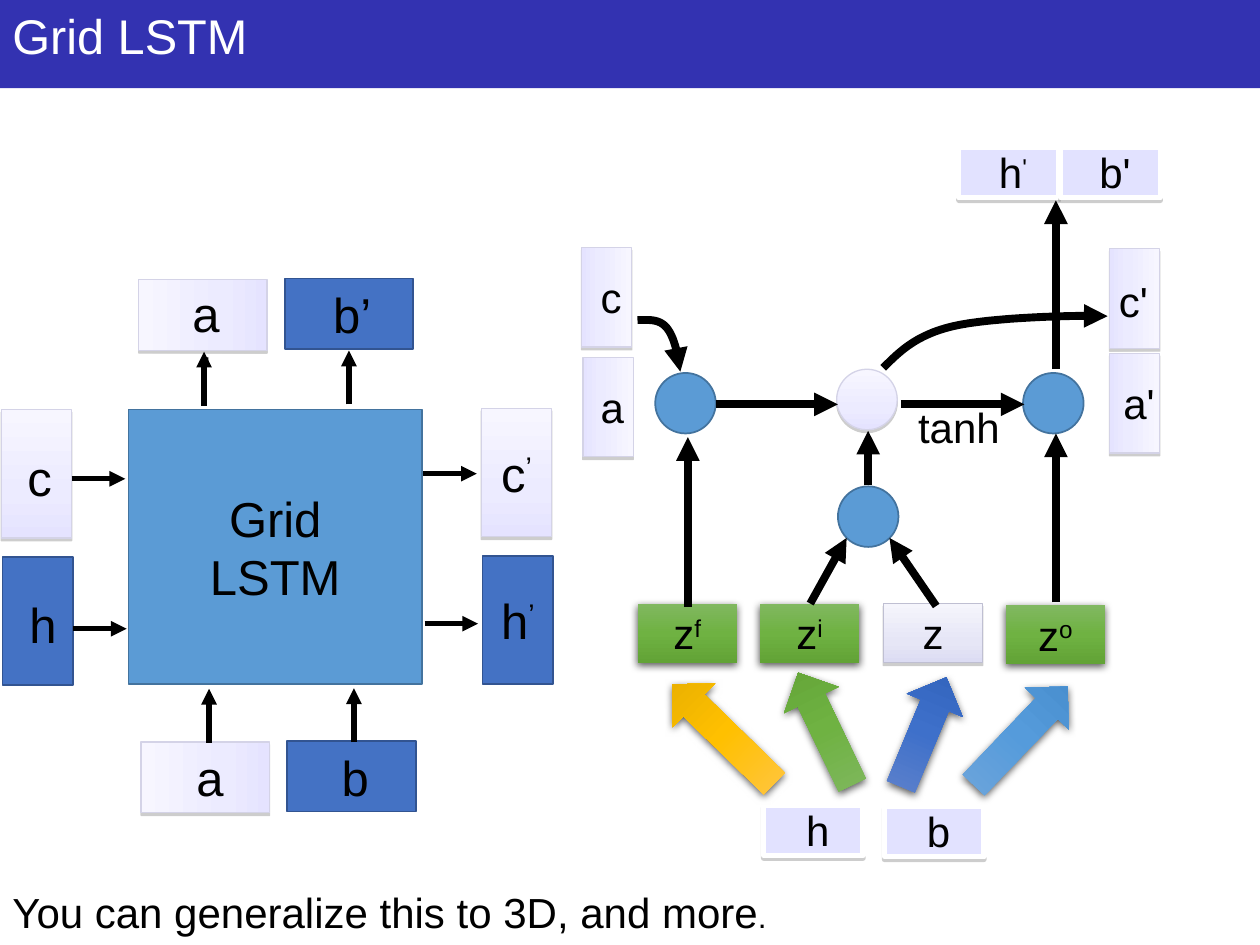
from lxml.etree import SubElement
from pptx import Presentation
from pptx.dml.color import RGBColor
from pptx.enum.shapes import MSO_CONNECTOR, MSO_SHAPE
from pptx.enum.text import MSO_ANCHOR, MSO_AUTO_SIZE, PP_ALIGN
from pptx.oxml.ns import qn
from pptx.util import Pt

BLACK = RGBColor(0x00, 0x00, 0x00)
WHITE = RGBColor(0xFF, 0xFF, 0xFF)
GRAY = RGBColor(0x80, 0x80, 0x80)
NAVY = RGBColor(0x33, 0x32, 0xB1)
SKY = RGBColor(0x5B, 0x9B, 0xD5)
SKY_EDGE = RGBColor(0x43, 0x73, 0x9E)
BLUE = RGBColor(0x44, 0x72, 0xC4)
BLUE_EDGE = RGBColor(0x32, 0x54, 0x91)
PALE = RGBColor(0xE2, 0xE2, 0xFF)
PALE_EDGE = RGBColor(0xD4, 0xD3, 0xE7)
MIST_EDGE = RGBColor(0xBF, 0xBF, 0xD2)


def blend(mid, top, base, low):
    tones = (top, base, low)
    return [(spot, RGBColor.from_string(tone)) for spot, tone in zip((0, mid, 100), tones)]


LILAC = blend(65, "F7F6FF", "ECEBFF", "E5E3FF")
MIST = blend(65, "F5F5FC", "E6E6F6", "DCDCF3")
GREEN = blend(50, "81B861", "6FB242", "62A336")
AZURE = blend(50, "71A6DB", "559BDB", "448ACA")
ROYAL = blend(50, "6183CB", "3E70CA", "3062BB")
GOLD = blend(50, "FFC64B", "FFC000", "E3AB00")

THIN = (GRAY, 38, 0, 1.6)
SOFT = (BLACK, 63, 4.5, 1.5)
SOLID = (BLUE, (BLUE_EDGE, 1), None)
GLASS = (LILAC, (PALE_EDGE, 0.75), THIN)
CHIP = (PALE, (WHITE, 3), THIN)
NODE = (SKY, (SKY_EDGE, 1), None)
GATE = (GREEN, None, SOFT)
CELL = (MIST, (MIST_EDGE, 0.75), THIN)


class Deck:
    font = "Arial"

    def __init__(self):
        self.file = Presentation()
        self.file.slide_width, self.file.slide_height = Pt(720), Pt(540)
        self.slide = self.file.slides.add_slide(self.file.slide_layouts[6])

    def run(self, para, text, size, color=BLACK):
        run = para.add_run()
        run.text = text
        run.font.name, run.font.size = self.font, Pt(size)
        run.font.color.rgb = color
        return run

    def label(self, frame, lines, size, color, align):
        for i, runs in enumerate(lines):
            para = frame.paragraphs[0] if i == 0 else frame.add_paragraph()
            para.alignment = align
            for part, text in enumerate(runs):
                run = self.run(para, text, size, color)
                if part:
                    run.font._element.set("baseline", "30000")

    def paint(self, shape, look):
        fill, edge, shade = look
        if isinstance(fill, list):
            shape.fill.gradient()
            shape.fill.gradient_angle = 270
            stops = shape._element.spPr.find(".//" + qn("a:gsLst"))
            for old in list(stops):
                stops.remove(old)
            for spot, color in fill:
                stop = SubElement(stops, qn("a:gs"), pos=str(spot * 1000))
                SubElement(stop, qn("a:srgbClr"), val=str(color))
        else:
            shape.fill.solid()
            shape.fill.fore_color.rgb = fill
        if edge:
            shape.line.color.rgb, shape.line.width = edge[0], Pt(edge[1])
        else:
            shape.line.fill.background()
        shape.shadow.inherit = False
        if shade:
            color, alpha, blur, dist = shade
            group = shape._element.spPr.find(qn("a:effectLst"))
            cast = SubElement(group, qn("a:outerShdw"), blurRad=str(int(Pt(blur))),
                              dist=str(int(Pt(dist))), dir="5400000", rotWithShape="0")
            tone = SubElement(cast, qn("a:srgbClr"), val=str(color))
            SubElement(tone, qn("a:alpha"), val=str(alpha * 1000))

    def shape(self, x, y, w, h, look, lines=(), size=24, turn=0, kind=MSO_SHAPE.RECTANGLE):
        item = self.slide.shapes.add_shape(kind, Pt(x), Pt(y), Pt(w), Pt(h))
        item.rotation = turn
        self.paint(item, look)
        item.text_frame.vertical_anchor = MSO_ANCHOR.MIDDLE
        self.label(item.text_frame, lines, size, BLACK, PP_ALIGN.CENTER)
        return item

    def text(self, x, y, w, h, runs, size=24, color=BLACK, align=PP_ALIGN.CENTER, wrap=True):
        box = self.slide.shapes.add_textbox(Pt(x), Pt(y), Pt(w), Pt(h))
        box.text_frame.word_wrap = wrap
        box.text_frame.auto_size = MSO_AUTO_SIZE.SHAPE_TO_FIT_TEXT
        self.label(box.text_frame, [runs], size, color, align)
        return box

    def chip(self, x, y, runs, look, turn=0, dx=-4.7, dy=-3.8):
        self.shape(x, y, 56.9, 28.8, look, turn=turn)
        self.text(x + dx, y + dy, 71.3, 36.7, runs)

    def node(self, x, y, look=NODE):
        self.shape(x, y, 34.6, 34.6, look, kind=MSO_SHAPE.OVAL)

    def fat(self, x, y, h, turn, fill):
        item = self.shape(x, y, 34.6, h, (fill, None, SOFT), turn=turn, kind=MSO_SHAPE.DOWN_ARROW)
        item._element.spPr.get_or_add_xfrm().set("flipV", "1")

    def tip(self, item, width):
        item.line.color.rgb, item.line.width = BLACK, Pt(width)
        SubElement(item._element.spPr.find(qn("a:ln")), qn("a:tailEnd"), type="triangle")

    def arrow(self, x1, y1, x2, y2, width):
        item = self.slide.shapes.add_connector(
            MSO_CONNECTOR.STRAIGHT, Pt(x1), Pt(y1), Pt(x2), Pt(y2))
        self.tip(item, width)
        SubElement(item._element.spPr, qn("a:effectLst"))

    def curve(self, start, *bends, steps=16):
        points, here = [], start
        for one, two, end in bends:
            for i in range(1, steps + 1):
                t = i / steps
                s = 1 - t
                points.append(tuple(
                    Pt(s**3 * a + 3 * s * s * t * b + 3 * s * t * t * c + t**3 * d)
                    for a, b, c, d in zip(here, one, two, end)))
            here = end
        pen = self.slide.shapes.build_freeform(Pt(start[0]), Pt(start[1]))
        pen.add_line_segments(points, close=False)
        item = pen.convert_to_shape()
        item.fill.background()
        item.shadow.inherit = False
        self.tip(item, 4.5)


def block(deck):
    deck.shape(73.4, 234, 167.8, 157, NODE, [["Grid"], ["LSTM"]], 28)
    for x, y, look, lines, turn in (
        (0.7, 234, GLASS, [], 0),
        (1.4, 318.2, SOLID, [], 0),
        (275, 233.3, GLASS, [["c", "’"]], 0),
        (275.8, 317.5, SOLID, [["h", "’"]], 0),
        (97.2, 407.5, GLASS, [], 270),
        (180.7, 406.8, SOLID, [], 270),
        (95.8, 143.3, GLASS, [], 270),
        (179.3, 142.6, SOLID, [], 270),
    ):
        deck.shape(x, y, 40.3, 73.4, look, lines, 28, turn)
    for x, y, w, word in (
        (9.4, 336.2, 30.2, "h"), (8.6, 252, 26.6, "c"),
        (187.9, 423.4, 30.2, "b"), (105.1, 423.4, 28.1, "a"),
        (182.9, 159.1, 36.7, "b’"), (100.1, 158.4, 35.3, "a’"),
    ):
        deck.text(x, y, w, 41, [word], 28, wrap=False)
    for x, y in ((41, 273.6), (41.8, 359.3), (241.9, 270.7), (242.6, 356.4)):
        deck.arrow(x, y, x + 30.6, y, 3)
    for x, y in ((119.5, 424.4), (202.3, 424.1), (116.6, 231.8), (199.4, 231.1)):
        deck.arrow(x, y, x, y - 30.8, 3)


def flow(deck):
    for x, y, runs in ((547.9, 84.2, ["h", "'"]), (606.2, 84.2, ["b'"]),
                       (436.3, 460.1, ["h"]), (505.4, 460.8, ["b"])):
        deck.chip(x, y, runs, CHIP)
    for x, y, look, runs in ((504.7, 344.9, CELL, ["z"]), (434.2, 344.9, GATE, ["z", "i"]),
                             (364.3, 344.9, GATE, ["z", "f"]), (574.6, 345.6, GATE, ["z", "o"])):
        deck.shape(x, y, 56.9, 33.8, look, [runs])
    for x, y in ((478.8, 277.9), (374.4, 213.1), (584.6, 213.1)):
        deck.node(x, y)
    deck.node(478.1, 211, GLASS)
    for x, y, h, turn, fill in ((565.9, 381.6, 77.8, 43.7, AZURE), (454.3, 380.9, 71.3, 334.3, GREEN),
                                (510.5, 384.5, 67.7, 22.6, ROYAL), (396, 378.7, 81.4, 314.2, GOLD)):
        deck.fat(x, y, h, turn, fill)
    deck.chip(318.2, 155.5, ["c"], GLASS, 90)
    deck.chip(319, 218.2, ["a"], GLASS, 90)
    deck.chip(619.9, 156.2, ["c'"], GLASS, 90, -7.9, -2.1)
    deck.chip(619.9, 216, ["a'"], GLASS, 90)
    for ends in (
        (393.1, 347, 393.1, 249.8), (409, 231.1, 478.8, 231.1),
        (535, 346.3, 508.3, 307.4), (463, 344.9, 483.8, 307.4),
        (496.1, 277.2, 496.1, 246.2), (514.8, 231.1, 585.4, 231.1),
        (603.4, 344.2, 603.4, 247.7), (603.4, 211, 603.4, 114.5),
    ):
        deck.arrow(*ends, 4.5)
    deck.curve((504.7, 210.2), ((514.1, 200.9), (523.4, 191.5), (544.3, 186.5)),
               ((565.9, 181.4), (614.9, 180), (632.9, 180.7)))
    deck.curve((364.3, 182.9), ((370.8, 182.9), (376.6, 182.2), (380.9, 187.2)),
               ((385.2, 192.2), (387.4, 202.3), (388.8, 212.4)))
    deck.text(491.8, 226.1, 112.3, 36, ["tanh"])


def main():
    deck = Deck()
    deck.shape(0, 0, 720, 50.4, (NAVY, None, None))
    deck.text(0, 0, 720, 41, ["Grid LSTM"], 27.8, WHITE, PP_ALIGN.LEFT)
    block(deck)
    flow(deck)
    note = deck.text(0, 503.3, 450, 36.7, ["You can generalize this to 3D, and more"],
                     align=PP_ALIGN.LEFT, wrap=False)
    deck.run(note.text_frame.paragraphs[0], ".", 18)
    deck.file.save("out.pptx")


if __name__ == "__main__":
    main()
